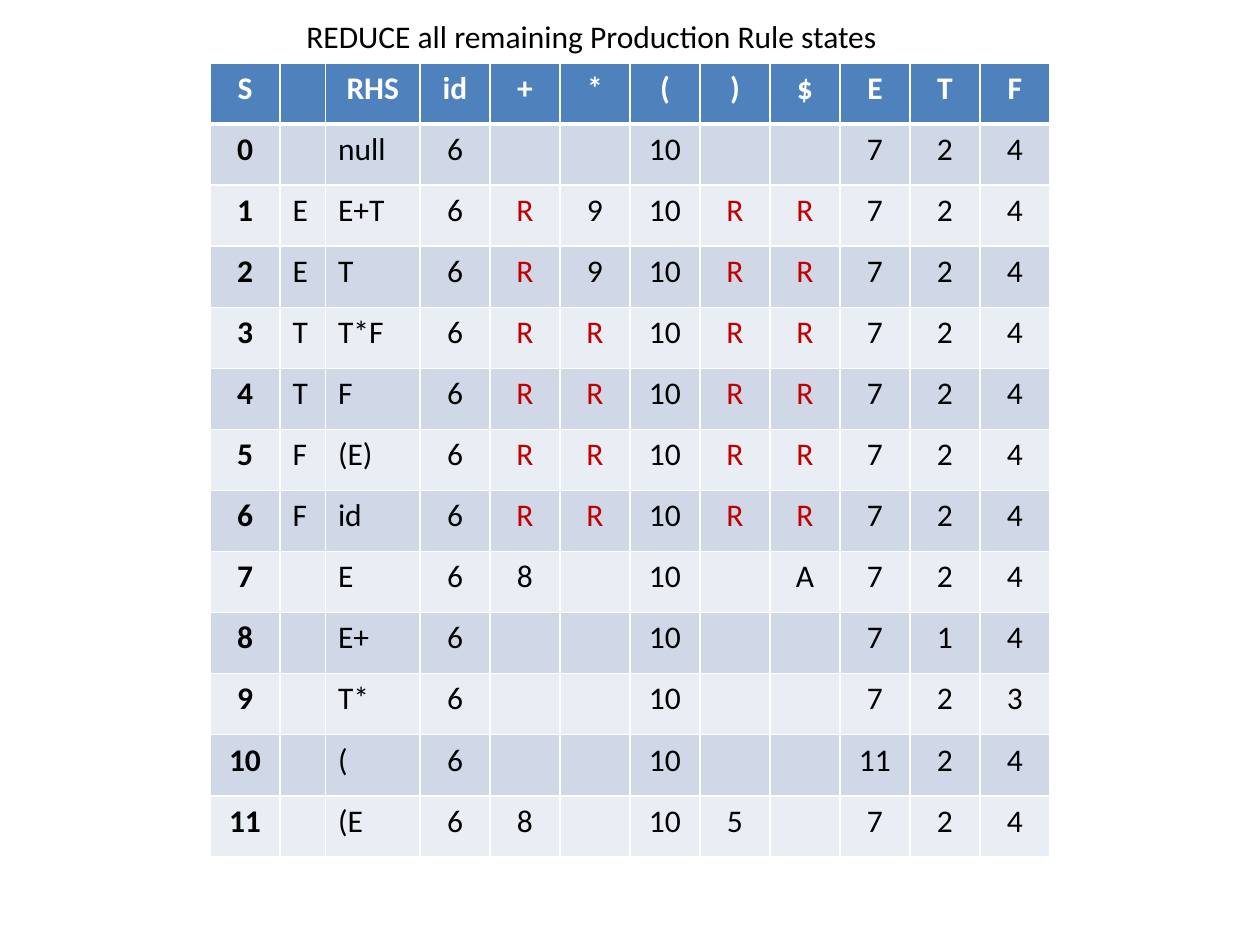
from dataclasses import dataclass

from lxml.etree import SubElement
from pptx import Presentation
from pptx.dml.color import RGBColor as Rgb
from pptx.enum.text import MSO_AUTO_SIZE as AutoSize, PP_ALIGN as Align
from pptx.oxml.ns import qn
from pptx.util import Pt


@dataclass(frozen=True)
class Theme:
    font: str = "Calibri"
    size: float = 18
    ink: str = "000000"
    paper: str = "FFFFFF"
    header: str = "4F81BD"
    bands: tuple = ("D0D8E8", "E9EDF4")
    reduce: str = "C00000"
    rule: float = 1
    header_rule: float = 3


EMPTY = "-"
HEADINGS = "S - RHS id + * ( ) $ E T F".split()
STATES = [line.split() for line in """
0  - null 6 - - 10 - - 7  2 4
1  E E+T  6 R 9 10 R R 7  2 4
2  E T    6 R 9 10 R R 7  2 4
3  T T*F  6 R R 10 R R 7  2 4
4  T F    6 R R 10 R R 7  2 4
5  F (E)  6 R R 10 R R 7  2 4
6  F id   6 R R 10 R R 7  2 4
7  - E    6 8 - 10 - A 7  2 4
8  - E+   6 - - 10 - - 7  1 4
9  - T*   6 - - 10 - - 7  2 3
10 - (    6 - - 10 - - 11 2 4
11 - (E   6 8 - 10 5 - 7  2 4
""".strip().splitlines()]
COLUMN_WIDTHS = [40, 26, 54] + [40] * 9
ROW_HEIGHT = 34.9
RULE_COLUMNS = (1, 2)


class SlideBuilder:
    def __init__(self, slide, theme):
        self.slide = slide
        self.theme = theme

    def style(self, paragraph, color, bold=False, align=Align.LEFT):
        paragraph.alignment = align
        font = paragraph.font
        font.name = self.theme.font
        font.size = Pt(self.theme.size)
        font.bold = bold
        font.color.rgb = Rgb.from_string(color)

    def caption(self, text, left, top, width, height):
        box = self.slide.shapes.add_textbox(Pt(left), Pt(top), Pt(width), Pt(height))
        frame = box.text_frame
        frame.word_wrap = False
        frame.auto_size = AutoSize.SHAPE_TO_FIT_TEXT
        frame.text = text
        self.style(frame.paragraphs[0], self.theme.ink)

    def borders(self, cell, top, bottom):
        properties = cell._tc.get_or_add_tcPr()
        rule = self.theme.rule
        for side, weight in zip("LRTB", (rule, rule, top, bottom)):
            line = SubElement(properties, qn(f"a:ln{side}"), w=str(Pt(weight)))
            fill = SubElement(line, qn("a:solidFill"))
            SubElement(fill, qn("a:srgbClr"), val=self.theme.paper)

    def cell(self, cell, text, row, column):
        theme = self.theme
        is_header = row == 0
        self.borders(
            cell,
            top=theme.header_rule if row == 1 else theme.rule,
            bottom=theme.header_rule if is_header else theme.rule,
        )
        cell.fill.solid()
        background = theme.header if is_header else theme.bands[(row - 1) % 2]
        cell.fill.fore_color.rgb = Rgb.from_string(background)

        if text != EMPTY:
            cell.text = text
        if is_header:
            color = theme.paper
        else:
            color = theme.reduce if text == "R" else theme.ink
        left_aligned = column in RULE_COLUMNS and not is_header
        self.style(
            cell.text_frame.paragraphs[0],
            color,
            bold=is_header or column == 0,
            align=Align.LEFT if left_aligned else Align.CENTER,
        )

    def parse_table(self, rows, left, top):
        table = self.slide.shapes.add_table(
            len(rows), len(COLUMN_WIDTHS), Pt(left), Pt(top),
            Pt(sum(COLUMN_WIDTHS)), Pt(ROW_HEIGHT * len(rows)),
        ).table
        for column, width in zip(table.columns, COLUMN_WIDTHS):
            column.width = Pt(width)
        for r, values in enumerate(rows):
            table.rows[r].height = Pt(ROW_HEIGHT)
            for c, text in enumerate(values):
                self.cell(table.cell(r, c), text, r, c)


def main():
    deck = Presentation()
    deck.slide_width, deck.slide_height = Pt(720), Pt(540)
    builder = SlideBuilder(deck.slides.add_slide(deck.slide_layouts[6]), Theme())
    builder.parse_table([HEADINGS] + STATES, left=120, top=36)
    builder.caption("REDUCE all remaining Production Rule states", 168, 6, 348.5, 29)
    deck.save("out.pptx")


if __name__ == "__main__":
    main()
